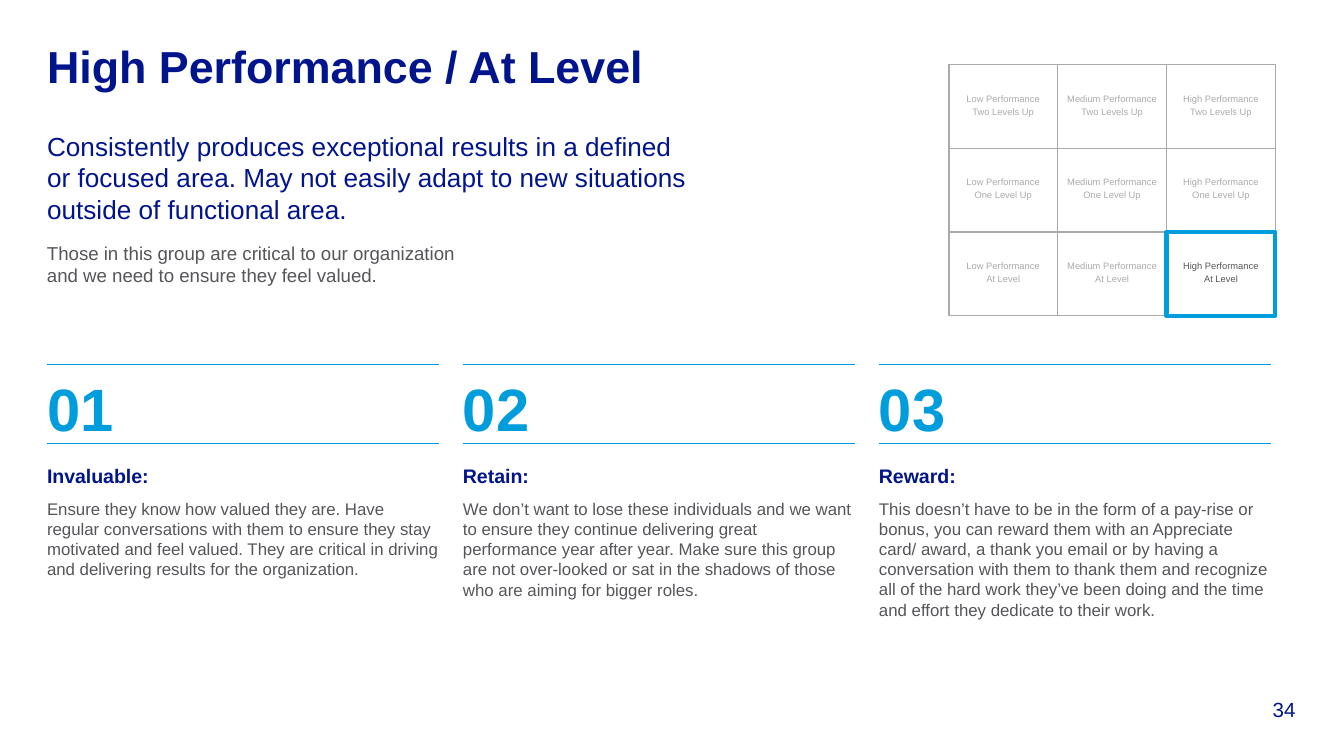
from dataclasses import dataclass

from pptx import Presentation
from pptx.dml.color import RGBColor
from pptx.enum.shapes import MSO_CONNECTOR, MSO_SHAPE
from pptx.enum.text import MSO_ANCHOR, MSO_AUTO_SIZE, PP_ALIGN
from pptx.oxml.ns import qn
from pptx.util import Inches, Pt


@dataclass(frozen=True)
class Theme:
    font: str = "Arial"
    navy: str = "00148C"
    blue: str = "009DDC"
    dark: str = "55555A"
    grey: str = "AAAAAC"
    title: float = 24
    statement: float = 14
    page: float = 11
    heading: float = 10.5
    note: float = 10
    body: float = 9
    number: float = 32
    label: float = 5
    thin: float = 0.75
    thick: float = 2.25


THEME = Theme()

SLIDE_WIDTH = 10
SLIDE_HEIGHT = SLIDE_WIDTH * 9 / 16

LEFT, RIGHT = 0.35, 9.46
COLUMN_WIDTH = 2.92
RULE_TOP, RULE_BOTTOM = 2.71, 3.3

GRID_LEFT, GRID_TOP = 7.06, 0.48
CELL_WIDTH, CELL_HEIGHT = 0.81, 1.87 / 3
LABEL_OFFSET = 0.21
PERFORMANCES = ("Low Performance", "Medium Performance", "High Performance")
LEVELS = ("Two Levels Up", "One Level Up", "At Level")
CURRENT = ("High Performance", "At Level")

ACTIONS = (
    ("Invaluable:", 0.87,
     "Ensure they know how valued they are. Have regular conversations with "
     "them to ensure they stay motivated and feel valued. They are critical in "
     "driving and delivering results for the organization."),
    ("Retain:", 1.02,
     "We don’t want to lose these individuals and we want to ensure they "
     "continue delivering great performance year after year. Make sure this "
     "group are not over-looked or sat in the shadows of those who are aiming "
     "for bigger roles."),
    ("Reward:", 1.17,
     "This doesn’t have to be in the form of a pay-rise or bonus, you can "
     "reward them with an Appreciate card/ award, a thank you email or by "
     "having a conversation with them to thank them and recognize all of the "
     "hard work they’ve been doing and the time and effort they dedicate to "
     "their work."),
)


def apply(target, values):
    for name, value in values.items():
        setattr(target, name, value)


def text_style(size, color, bold=False, after=0, align=PP_ALIGN.LEFT):
    """Return the format values of one paragraph."""
    return {
        "font": {"name": THEME.font, "size": Pt(size), "bold": bold},
        "color": RGBColor.from_string(color),
        "paragraph": {"alignment": align, "space_before": Pt(0),
                      "space_after": Pt(after), "line_spacing": 1.0},
    }


def fill_text(shape, lines, anchor=MSO_ANCHOR.TOP, auto_size=MSO_AUTO_SIZE.NONE):
    """Write (text, style) pairs as paragraphs without insets."""
    frame = shape.text_frame
    apply(frame, {"word_wrap": True, "auto_size": auto_size,
                  "vertical_anchor": anchor, "margin_left": 0,
                  "margin_top": 0, "margin_right": 0, "margin_bottom": 0})
    for index, (text, style) in enumerate(lines):
        paragraph = frame.add_paragraph() if index else frame.paragraphs[0]
        paragraph.text = text
        apply(paragraph, style["paragraph"])
        apply(paragraph.font, style["font"])
        paragraph.font.color.rgb = style["color"]


def add_text(slide, left, top, width, height, lines, anchor=MSO_ANCHOR.TOP):
    box = slide.shapes.add_textbox(*map(Inches, (left, top, width, height)))
    fill_text(box, lines, anchor, MSO_AUTO_SIZE.SHAPE_TO_FIT_TEXT)


def fill_placeholder(placeholder, position, text, style):
    names = ("left", "top", "width", "height")
    apply(placeholder, dict(zip(names, map(Inches, position))))
    paragraph = placeholder.text_frame.paragraphs[0]
    properties = paragraph._p.get_or_add_pPr()
    properties.set("marL", "0")
    properties.set("indent", "0")
    properties.append(properties.makeelement(qn("a:buNone"), {}))
    fill_text(placeholder, [(text, style)])


def add_rule(slide, left, top):
    rule = slide.shapes.add_connector(
        MSO_CONNECTOR.STRAIGHT, Inches(left), Inches(top),
        Inches(left + COLUMN_WIDTH), Inches(top))
    rule.line.color.rgb = RGBColor.from_string(THEME.blue)
    rule.line.width = Pt(THEME.thin)
    properties = rule._element.spPr
    properties.append(properties.makeelement(qn("a:effectLst"), {}))


def add_cell(slide, left, top, performance, level):
    current = (performance, level) == CURRENT
    cell = slide.shapes.add_shape(
        MSO_SHAPE.RECTANGLE,
        *map(Inches, (left, top, CELL_WIDTH, CELL_HEIGHT)))
    cell.shadow.inherit = False
    cell.fill.background()
    cell.line.color.rgb = RGBColor.from_string(
        THEME.blue if current else THEME.grey)
    cell.line.width = Pt(THEME.thick if current else THEME.thin)
    style = text_style(THEME.label, THEME.dark if current else THEME.grey,
                       after=1, align=PP_ALIGN.CENTER)
    add_text(slide, left, top + LABEL_OFFSET, CELL_WIDTH, 0.18,
             [(performance, style), (level, style)])


def add_grid(slide):
    for row, level in enumerate(LEVELS):
        for column, performance in enumerate(PERFORMANCES):
            add_cell(slide, GRID_LEFT + column * CELL_WIDTH,
                     GRID_TOP + row * CELL_HEIGHT, performance, level)


def add_action(slide, left, number, heading, height, body):
    for top in (RULE_TOP, RULE_BOTTOM):
        add_rule(slide, left, top)
    add_text(slide, left, 2.77, 1.69, 0.54,
             [(f"{number:02}", text_style(THEME.number, THEME.blue, bold=True))])
    add_text(slide, left, 3.45, COLUMN_WIDTH, height, [
        (heading, text_style(THEME.heading, THEME.navy, bold=True, after=6)),
        (body, text_style(THEME.body, THEME.dark, after=6)),
    ])


def main():
    presentation = Presentation()
    presentation.slide_width = Inches(SLIDE_WIDTH)
    presentation.slide_height = Inches(SLIDE_HEIGHT)
    slide = presentation.slides.add_slide(presentation.slide_layouts[1])

    fill_placeholder(slide.shapes.title, (LEFT, 0.29, 6.54, 0.47),
                     "High Performance / At Level",
                     text_style(THEME.title, THEME.navy, bold=True))
    fill_placeholder(slide.placeholders[1], (LEFT, 0.97, 4.78, 0.71),
                     "Consistently produces exceptional results in a defined or "
                     "focused area. May not easily adapt to new situations "
                     "outside of functional area.",
                     text_style(THEME.statement, THEME.navy, after=12))
    add_text(slide, LEFT, 1.8, 3.1, 0.34, [
        ("Those in this group are critical to our organization and we need to "
         "ensure they feel valued.",
         text_style(THEME.note, THEME.dark, after=12))])

    add_grid(slide)

    step = (RIGHT - LEFT - COLUMN_WIDTH) / (len(ACTIONS) - 1)
    for index, action in enumerate(ACTIONS):
        add_action(slide, LEFT + index * step, index + 1, *action)

    add_text(slide, 9.06, 5.18, 0.58, 0.19,
             [("34", text_style(THEME.page, THEME.navy, align=PP_ALIGN.RIGHT))],
             MSO_ANCHOR.BOTTOM)
    presentation.save("out.pptx")


if __name__ == "__main__":
    main()
